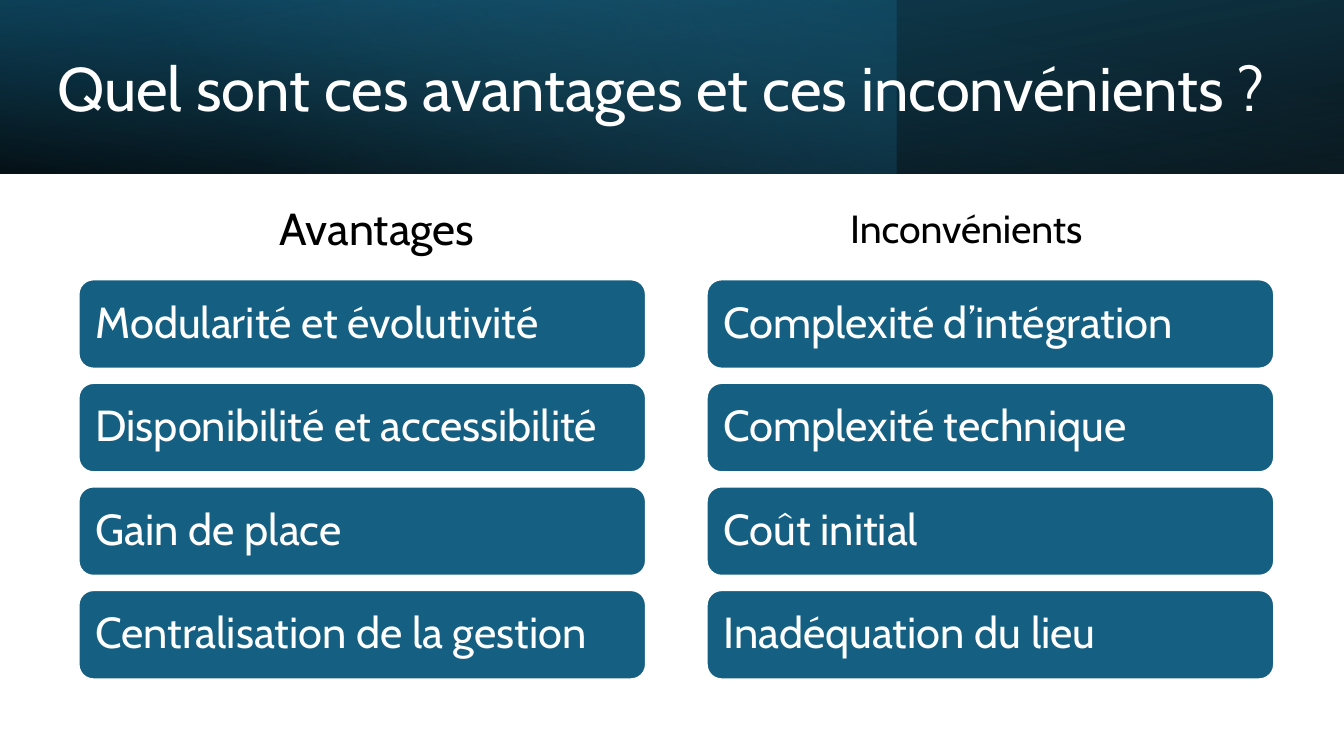
from dataclasses import dataclass

from lxml import etree
from pptx import Presentation
from pptx.dml.color import RGBColor
from pptx.enum.shapes import MSO_SHAPE
from pptx.enum.text import MSO_ANCHOR, MSO_AUTO_SIZE, PP_ALIGN
from pptx.oxml.ns import qn
from pptx.shapes.autoshape import Shape
from pptx.slide import Slide
from pptx.util import Cm, Pt

RECT = MSO_SHAPE.RECTANGLE
ROUND = MSO_SHAPE.ROUNDED_RECTANGLE
MIDDLE = MSO_ANCHOR.MIDDLE
NO_FIT = MSO_AUTO_SIZE.NONE
LEFT = PP_ALIGN.LEFT
CENTER = PP_ALIGN.CENTER

FONT = "Cabin"
WHITE = "FFFFFF"
BLACK = "000000"
BLUE = "156082"
WIDE, HIGH = 33.87, 19.05
BAND_H = 4.37
CARD_TOP, CARD_W, CARD_H, CARD_STEP = 7.04, 14.3, 2.25, 2.61


@dataclass
class Stop:
    place: int
    color: str
    alpha: int


@dataclass
class Band:
    width: float
    angle: int
    stops: list[Stop]
    flip: bool = False
    turn: int = 0


@dataclass
class Column:
    head: str
    size: int
    head_left: float
    head_w: float
    left: float
    items: list[str]


BANDS = [
    Band(WIDE, 100, [Stop(0, BLACK, 96), Stop(100, "104862", 100)], True, 180),
    Band(22.58, 140, [Stop(0, BLUE, 41), Stop(74, "46B1E1", 0)]),
    Band(WIDE, 260, [Stop(0, BLACK, 63), Stop(78, BLUE, 15)], True),
]
COLUMNS = [
    Column("Avantages", 32, 2.34, 14.33, 1.98, [
        "Modularité et évolutivité",
        "Disponibilité et accessibilité",
        "Gain de place",
        "Centralisation de la gestion",
    ]),
    Column("Inconvénients", 28, 17.15, 14.4, 17.81, [
        "Complexité d’intégration",
        "Complexité technique",
        "Coût initial",
        "Inadéquation du lieu",
    ]),
]


def rgb(code: str) -> RGBColor:
    return RGBColor.from_string(code)


def write(shape: Shape, text: str, size: int, color: str, align: PP_ALIGN) -> None:
    frame = shape.text_frame
    frame.text = text
    frame.word_wrap = True
    frame.auto_size = NO_FIT
    frame.vertical_anchor = MIDDLE
    line = frame.paragraphs[0]
    line.alignment = align
    line.line_spacing = 0.9
    font = line.runs[0].font
    font.name = FONT
    font.size = Pt(size)
    font.color.rgb = rgb(color)


def add_band(slide: Slide, band: Band) -> None:
    shape = slide.shapes.add_shape(RECT, 0, 0, Cm(band.width), Cm(BAND_H))
    shape.shadow.inherit = False
    shape.line.fill.background()
    shape.rotation = band.turn
    props = shape._element.spPr
    if band.flip:
        props.find(qn("a:xfrm")).set("flipH", "1")
    grad = etree.Element(qn("a:gradFill"), rotWithShape="1")
    stops = etree.SubElement(grad, qn("a:gsLst"))
    for stop in band.stops:
        mark = etree.SubElement(stops, qn("a:gs"), pos=str(stop.place * 1000))
        tint = etree.SubElement(mark, qn("a:srgbClr"), val=stop.color)
        etree.SubElement(tint, qn("a:alpha"), val=str(stop.alpha * 1000))
    etree.SubElement(grad, qn("a:lin"), ang=str(band.angle * 60000), scaled="0")
    props.find(qn("a:prstGeom")).addnext(grad)


def add_title(slide: Slide, text: str) -> None:
    title = slide.shapes.title
    title.left, title.top = Cm(0), Cm(0.69)
    title.width, title.height = Cm(33.35), Cm(3.23)
    write(title, text, 44, WHITE, CENTER)
    slide.shapes._spTree.append(title._element)


def add_card(slide: Slide, text: str, left: float, top: float) -> None:
    card = slide.shapes.add_shape(ROUND, Cm(left), Cm(top), Cm(CARD_W), Cm(CARD_H))
    card.shadow.inherit = False
    card.fill.solid()
    card.fill.fore_color.rgb = rgb(BLUE)
    card.line.color.rgb = rgb(WHITE)
    card.line.width = Pt(1.5)
    frame = card.text_frame
    frame.margin_left = frame.margin_right = Cm(0.32)
    frame.margin_top = frame.margin_bottom = Cm(0.32)
    write(card, text, 31, WHITE, LEFT)


def add_column(slide: Slide, column: Column) -> None:
    head = slide.shapes.add_textbox(
        Cm(column.head_left), Cm(4.67), Cm(column.head_w), Cm(2.29))
    write(head, column.head, column.size, BLACK, CENTER)
    for row, item in enumerate(column.items):
        add_card(slide, item, column.left, CARD_TOP + row * CARD_STEP)


def main() -> None:
    deck = Presentation()
    deck.slide_width, deck.slide_height = Cm(WIDE), Cm(HIGH)
    slide = deck.slides.add_slide(deck.slide_layouts[5])
    for band in BANDS:
        add_band(slide, band)
    add_title(slide, "Quel sont ces avantages et ces inconvénients ?")
    for column in COLUMNS:
        add_column(slide, column)
    deck.save("out.pptx")


if __name__ == "__main__":
    main()
